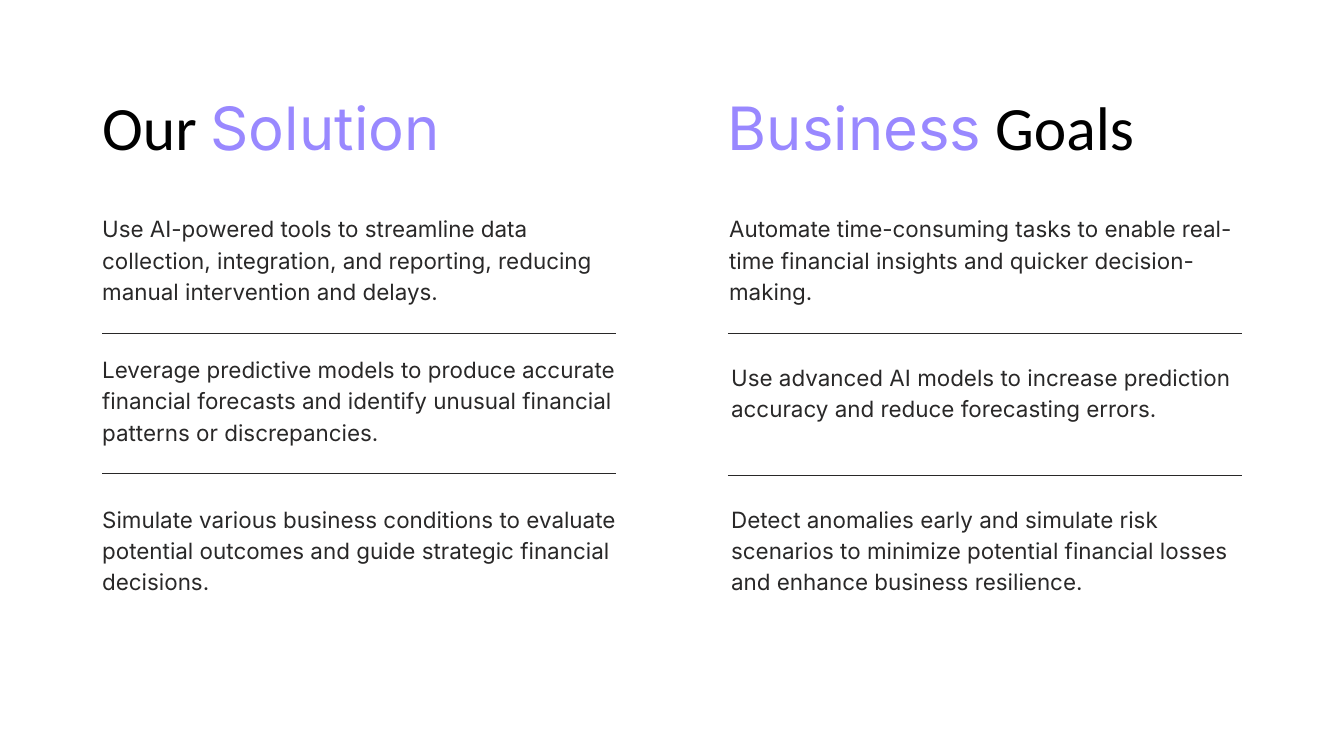
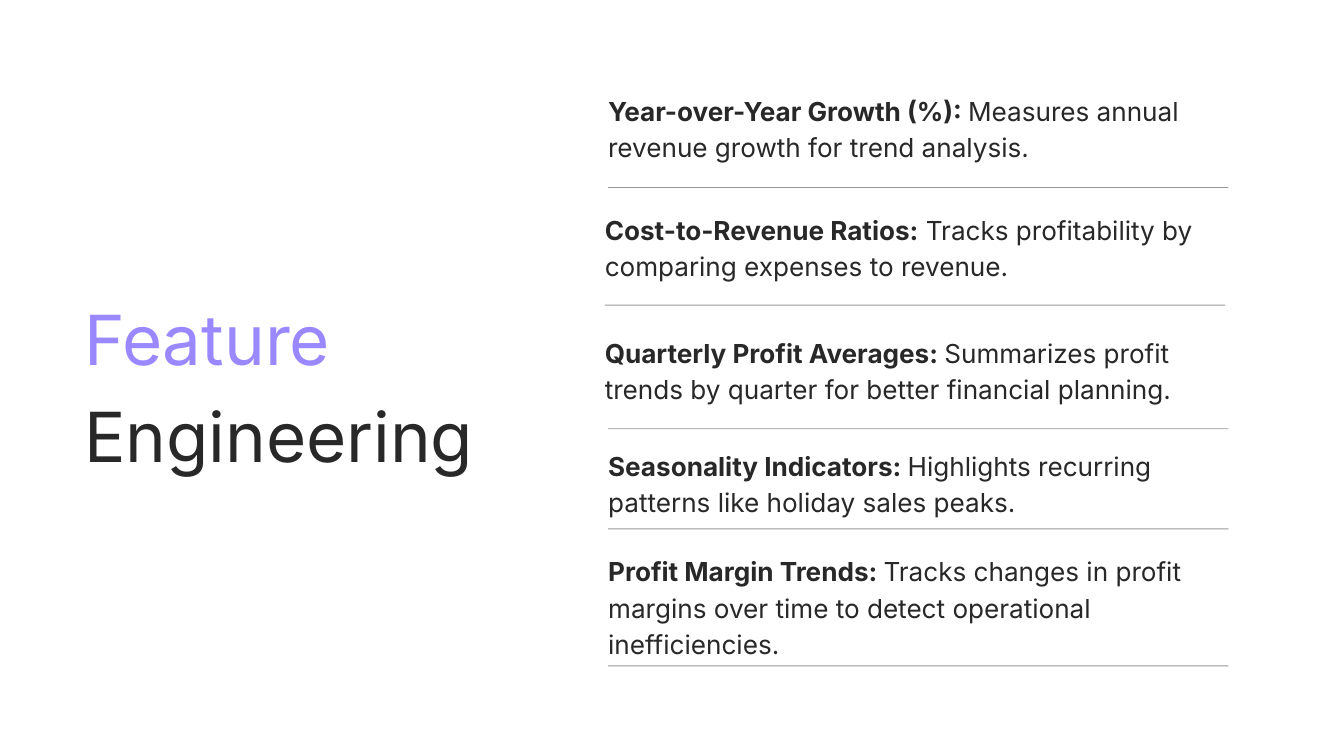
from lxml.etree import SubElement
from pptx import Presentation
from pptx.dml.color import RGBColor
from pptx.enum.shapes import MSO_CONNECTOR as Connector
from pptx.enum.text import MSO_AUTO_SIZE as AutoSize
from pptx.oxml.ns import qn
from pptx.util import Inches, Pt

INK, ACCENT, BLACK, WHITE = "292828", "9988FF", "000000", "FFFFFF"
BODY_FONT, PLAIN_FONT = "Inter", "Calibri"
TITLE_ACCENT = dict(size=64, color=ACCENT)
TITLE_PLAIN = dict(size=66, color=BLACK, font=PLAIN_FONT)

SOLUTION_TITLE = [("Our ", TITLE_PLAIN), ("Solution", TITLE_ACCENT)]
GOALS_TITLE = [("Business", TITLE_ACCENT), (" Goals", TITLE_PLAIN)]

# Each point: left offset, top offset, height, text
SOLUTION_POINTS = [
    (0, 1.78, 1.39, "Use AI-powered tools to streamline data collection, integration, "
                    "and reporting, reducing manual intervention and delays."),
    (0, 3.87, 1.39, "Leverage predictive models to produce accurate financial forecasts "
                    "and identify unusual financial patterns or discrepancies."),
    (0, 6.1, 1.39, "Simulate various business conditions to evaluate potential outcomes "
                   "and guide strategic financial decisions."),
]
GOALS_POINTS = [
    (0.02, 1.78, 1.39, "Automate time-consuming tasks to enable real-time financial "
                       "insights and quicker decision-making."),
    (0.05, 3.99, 0.91, "Use advanced AI models to increase prediction accuracy "
                       "and reduce forecasting errors."),
    (0.05, 6.1, 1.39, "Detect anomalies early and simulate risk scenarios to minimize "
                      "potential financial losses and enhance business resilience."),
]

# Each feature: text left and top, height, rule left and top, name, description
FEATURES = [
    (0.05, 0, 1.05, 0.05, 1.45, "Year-over-Year Growth (%): ",
     "Measures annual revenue growth for trend analysis."),
    (0, 1.77, 1.05, 0, 3.2, "Cost-to-Revenue Ratios:",
     " Tracks profitability by comparing expenses to revenue."),
    (0, 3.6, 1.05, 0.05, 5.04, "Quarterly Profit Averages: ",
     "Summarizes profit trends by quarter for better financial planning."),
    (0.05, 5.28, 1.05, 0.05, 6.53, "Seasonality Indicators: ",
     "Highlights recurring patterns like holiday sales peaks."),
    (0.05, 6.85, 1.6, 0.05, 8.57, "Profit Margin Trends: ",
     "Tracks changes in profit margins over time to detect operational inefficiencies."),
]


def rgb(value):
    return RGBColor.from_string(value)


def add_text(shapes, box, runs, spacing, **shared):
    textbox = shapes.add_textbox(*map(Inches, box))
    frame = textbox.text_frame
    frame.word_wrap = True
    frame.auto_size = AutoSize.SHAPE_TO_FIT_TEXT
    frame.margin_left = frame.margin_top = frame.margin_right = frame.margin_bottom = 0
    paragraph = frame.paragraphs[0]
    paragraph.line_spacing = Pt(spacing)
    for text, own in runs:
        style = {"font": BODY_FONT, "color": INK, "bold": False, **shared, **own}
        run = paragraph.add_run()
        run.text = text
        run.font.name = style["font"]
        run.font.size = Pt(style["size"])
        run.font.bold = style["bold"]
        run.font.color.rgb = rgb(style["color"])


def add_rule(shapes, left, top, width, opacity=100):
    rule = shapes.add_connector(Connector.STRAIGHT, Inches(left), Inches(top),
                                Inches(left + width), Inches(top))
    rule.line.width = Pt(1)
    rule.line.color.rgb = rgb(INK)
    properties = rule._element.spPr
    if opacity < 100:
        tint = properties.find(".//" + qn("a:srgbClr"))
        SubElement(tint, qn("a:alpha")).set("val", str(opacity * 1000))
    SubElement(properties, qn("a:effectLst"))


def add_point_column(slide, left, top, width, title, points, rule_tops):
    shapes = slide.shapes.add_group_shape().shapes
    add_text(shapes, (left, top, width, 1.08), title, 76.8)
    for shift, drop, height, text in points:
        add_text(shapes, (left + shift, top + drop, width, height), [(text, {})], 33.6, size=24)
    for drop in rule_tops:
        add_rule(shapes, left, top + drop, width)


def add_feature_title(slide, left, top, width, height):
    runs = [("Feature", dict(color=ACCENT)), (" Engineering", {})]
    add_text(slide.shapes, (left, top, width, height), runs, 103.6, size=74)


def add_feature_list(slide, left, top, width):
    shapes = slide.shapes.add_group_shape().shapes
    for shift, drop, height, rule_shift, rule_drop, name, description in FEATURES:
        add_text(shapes, (left + shift, top + drop, width, height),
                 [(name, dict(bold=True)), (description, {})], 39.2, size=28)
        add_rule(shapes, left + rule_shift, top + rule_drop, width, opacity=48)


def add_blank_slide(deck):
    slide = deck.slides.add_slide(deck.slide_layouts[6])
    slide.background.fill.solid()
    slide.background.fill.fore_color.rgb = rgb(WHITE)
    return slide


def main():
    deck = Presentation()
    deck.slide_width, deck.slide_height = Inches(20), Inches(11.25)

    overview = add_blank_slide(deck)
    add_point_column(overview, 1.52, 1.36, 7.65, SOLUTION_TITLE, SOLUTION_POINTS, (3.6, 5.68))
    add_point_column(overview, 10.83, 1.36, 7.65, GOALS_TITLE, GOALS_POINTS, (3.6, 5.72))

    features = add_blank_slide(deck)
    add_feature_title(features, 1.25, 4.21, 6.12, 2.8)
    add_feature_list(features, 9, 1.34, 9.23)

    deck.save("out.pptx")


if __name__ == "__main__":
    main()
